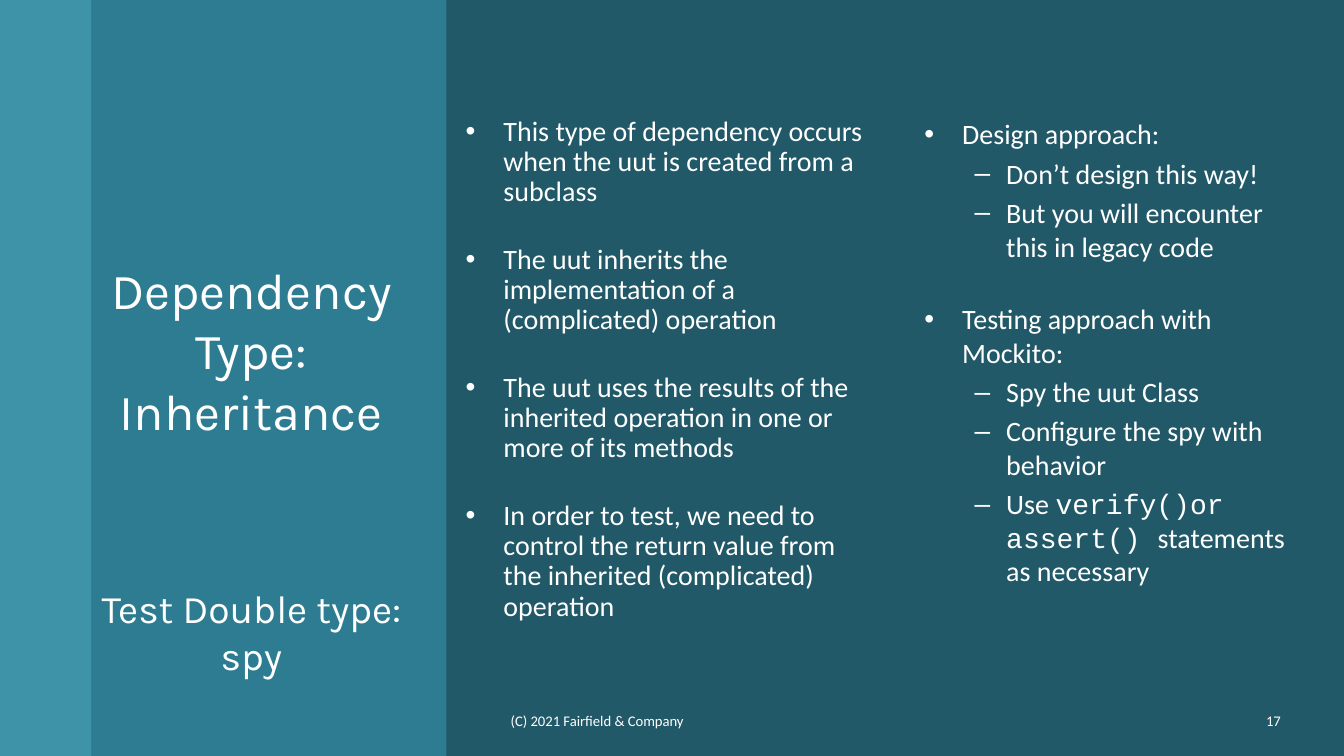
from dataclasses import dataclass

from lxml.etree import SubElement
from pptx import Presentation
from pptx.dml.color import RGBColor
from pptx.enum.shapes import MSO_SHAPE
from pptx.enum.text import MSO_ANCHOR, MSO_AUTO_SIZE, PP_ALIGN
from pptx.oxml.ns import qn
from pptx.util import Cm, Pt


@dataclass(frozen=True)
class Theme:
    background: str = "215968"
    edge: str = "4BACC6"
    panel: str = "31859C"
    text: str = "FFFFFF"
    heading_font: str = "Karla"
    body_font: str = "Calibri"
    code_font: str = "Courier New"
    title_size: float = 36
    subtitle_size: float = 27.9
    body_size: float = 20
    footer_size: float = 10.5


THEME = Theme()
SLIDE_W, SLIDE_H = 33.87, 19.05
EDGE_W, PANEL_W = 2.31, 8.94
BODY_TOP, BODY_H = 2.82, 14.15
FOOTER_TOP, FOOTER_H = 17.65, 1.02

# Each item: level, space before in points, runs of (text, is code)
DEPENDENCY = [
    (0, 0, [("This type of dependency occurs when the uut is created from a subclass", False)]),
    (0, 26.7, [("The uut inherits the implementation of a (complicated) operation", False)]),
    (0, 26.7, [("The uut uses the results of the inherited operation in one or more of its methods", False)]),
    (0, 26.7, [("In order to test, we need to control the return value from "
                "the inherited (complicated) operation", False)]),
]
APPROACH = [
    (0, 0, [("Design approach:", False)]),
    (1, 4, [("Don’t design this way!", False)]),
    (1, 4, [("But you will encounter this in legacy code", False)]),
    (0, 28, [("Testing approach with Mockito:", False)]),
    (1, 4, [("Spy the uut Class", False)]),
    (1, 4, [("Configure the spy with behavior", False)]),
    (1, 4, [("Use ", False), ("verify()or assert() ", True), ("statements as necessary", False)]),
]


def style(font, name, size):
    font.name = name
    font.size = Pt(size)
    font.bold = False
    font.color.rgb = RGBColor.from_string(THEME.text)


def place(sp, box):
    sp.left, sp.top, sp.width, sp.height = (Cm(v) for v in box)


def frame(sp, anchor):
    tf = sp.text_frame
    tf.word_wrap = True
    tf.auto_size = MSO_AUTO_SIZE.NONE
    tf.vertical_anchor = anchor
    return tf


def add_band(s, box, color, opacity, depth):
    sp = s.shapes.add_shape(MSO_SHAPE.RECTANGLE, *(Cm(v) for v in box))
    sp.shadow.inherit = False
    sp.line.fill.background()
    sp.fill.solid()
    sp.fill.fore_color.rgb = RGBColor.from_string(color)
    clr = sp.element.find(".//" + qn("a:srgbClr"))
    SubElement(clr, qn("a:alpha"), val=str(opacity * 1000))
    # Bands sit behind the placeholders, after the two group property nodes
    s.shapes.element.insert(2 + depth, sp.element)


def fill_title(sp, box):
    place(sp, box)
    tf = frame(sp, MSO_ANCHOR.TOP)
    tf.text = "Dependency Type: Inheritance\nTest Double type: spy"
    sizes = (THEME.title_size, THEME.subtitle_size)
    for p, size, gap in zip(tf.paragraphs, sizes, (0, 103)):
        p.alignment = PP_ALIGN.CENTER
        p.space_before = Pt(gap)
        style(p.runs[0].font, THEME.heading_font, size)


def fill_list(sp, box, items, line_spacing):
    place(sp, box)
    tf = frame(sp, MSO_ANCHOR.TOP)
    for i, (level, gap, runs) in enumerate(items):
        p = tf.add_paragraph() if i else tf.paragraphs[0]
        p.level = level
        p.line_spacing = line_spacing
        p.space_before = Pt(gap)
        for text, is_code in runs:
            r = p.add_run()
            r.text = text
            style(r.font, THEME.code_font if is_code else THEME.body_font, THEME.body_size)


def add_footer(s, box, text, align):
    tf = frame(s.shapes.add_textbox(*(Cm(v) for v in box)), MSO_ANCHOR.MIDDLE)
    tf.text = text
    p = tf.paragraphs[0]
    p.alignment = align
    style(p.runs[0].font, THEME.body_font, THEME.footer_size)


def build_slide(prs):
    s = prs.slides.add_slide(prs.slide_layouts.get_by_name("Two Content"))
    s.background.fill.solid()
    s.background.fill.fore_color.rgb = RGBColor.from_string(THEME.background)
    title, left, right = s.placeholders

    # Side bands
    add_band(s, (0, 0, EDGE_W, SLIDE_H), THEME.edge, 70, 0)
    add_band(s, (EDGE_W, 0, PANEL_W, SLIDE_H), THEME.panel, 80, 1)

    # Title and the two lists
    fill_title(title, (2.08, 6.4, 8.51, 11.71))
    fill_list(left, (11.48, BODY_TOP, 10.67, BODY_H), DEPENDENCY, 0.9)
    fill_list(right, (23.04, BODY_TOP, 10.08, BODY_H), APPROACH, 1.0)

    # Footer
    add_footer(s, (12.62, FOOTER_TOP, 15.8, FOOTER_H), "(C) 2021 Fairfield & Company", PP_ALIGN.LEFT)
    add_footer(s, (28.75, FOOTER_TOP, 3.78, FOOTER_H), "17", PP_ALIGN.RIGHT)


def main():
    prs = Presentation()
    prs.slide_width, prs.slide_height = Cm(SLIDE_W), Cm(SLIDE_H)
    build_slide(prs)
    prs.save("out.pptx")


if __name__ == "__main__":
    main()
